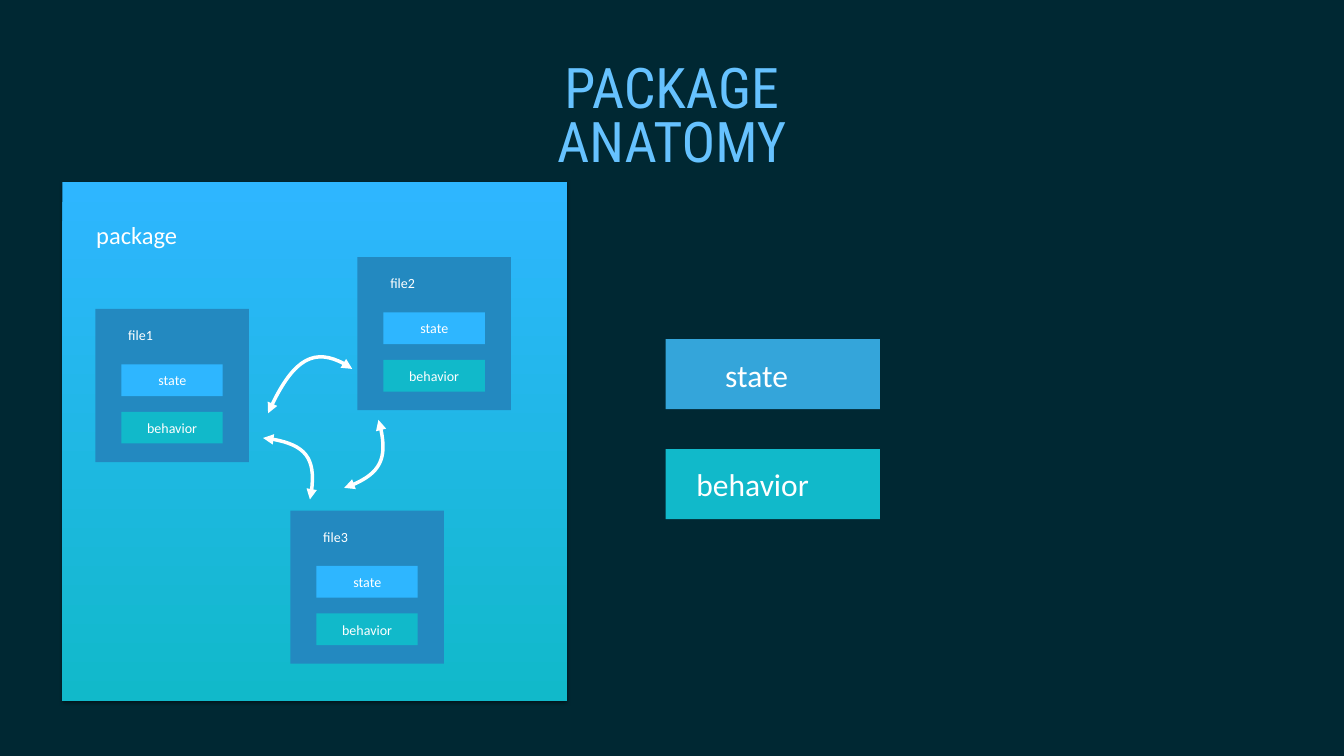
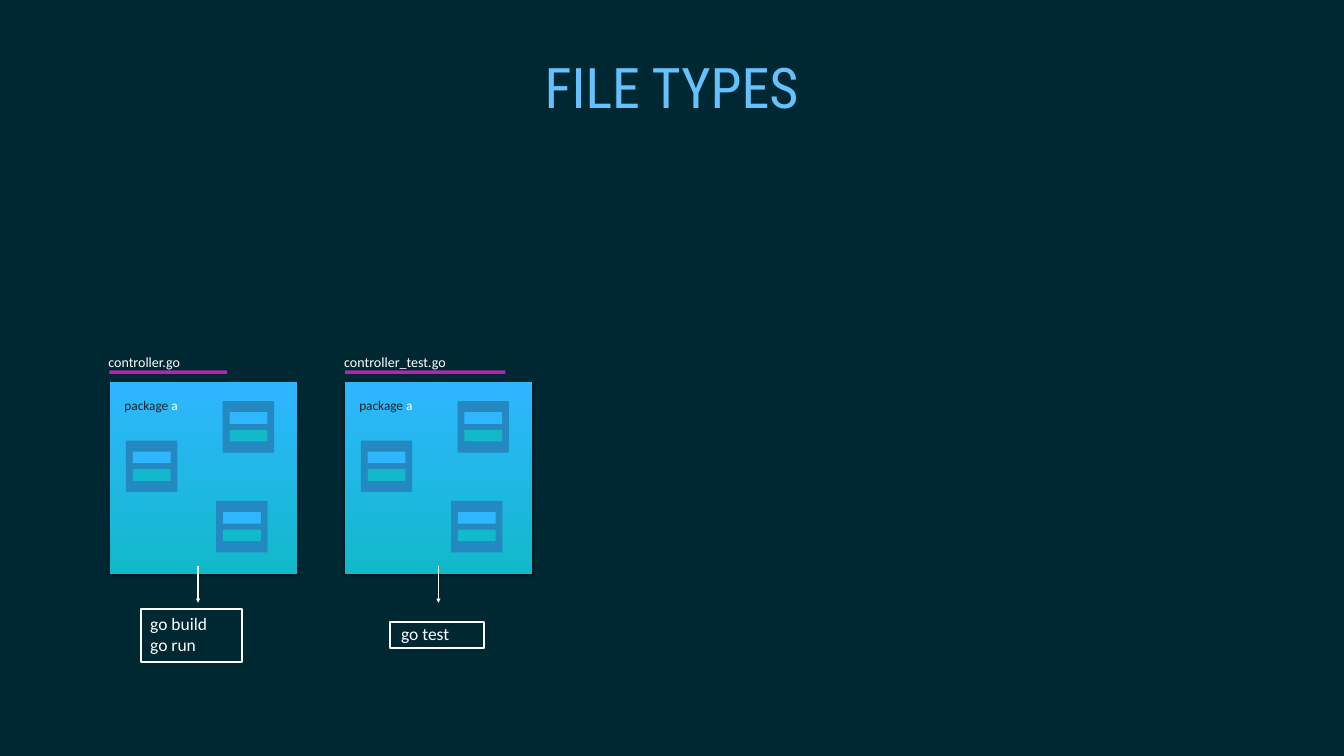
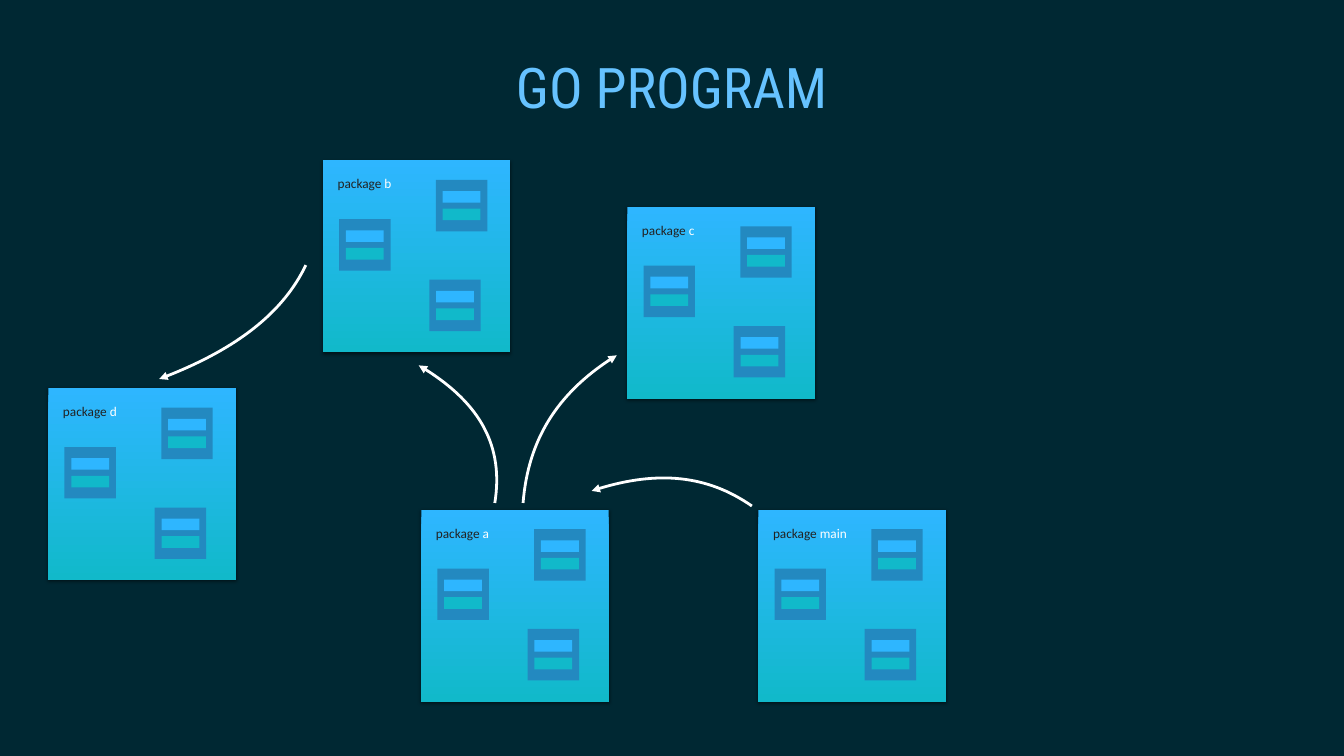
from lxml.etree import SubElement
from pptx import Presentation
from pptx.dml.color import RGBColor
from pptx.enum.shapes import MSO_CONNECTOR, MSO_SHAPE
from pptx.enum.text import MSO_ANCHOR, MSO_AUTO_SIZE, PP_ALIGN
from pptx.oxml.ns import qn
from pptx.util import Inches, Pt

COLOURS = {name: RGBColor.from_string(value) for name, value in {
    "background": "002833", "title": "66C2FF", "sky": "2EB6FF", "teal": "11B9CA",
    "file": "2389C0", "state": "34A5DA", "underline": "AB29AB",
    "white": "FFFFFF", "dark": "222222"}.items()}
BODY_FONT, TITLE_FONT = "Calibri", "Roboto Condensed"
LEFT, CENTER = PP_ALIGN.LEFT, PP_ALIGN.CENTER

deck = Presentation()
deck.slide_width, deck.slide_height = Inches(26.67), Inches(15)
CELL = deck.slide_height / 150  # square grid cell: 150 rows on each slide
background = deck.slide_master.background.fill
background.solid()
background.fore_color.rgb = COLOURS["background"]


def add_box(shapes, left, top, width, height, colour=None):
    """Add a plain rectangle; without a colour it is a white frame."""
    box = shapes.add_shape(MSO_SHAPE.RECTANGLE,
                           *(round(n * CELL) for n in (left, top, width, height)))
    box.shadow.inherit = False
    if colour:
        box.fill.solid()
        box.fill.fore_color.rgb = COLOURS[colour]
        box.line.fill.background()
    else:
        box.fill.background()
        box.line.color.rgb = COLOURS["white"]
        box.line.width = Pt(3)
    return box


def add_text(shapes, left, top, width, height, lines, size, align=LEFT,
             wrap=True, grow=True, font=BODY_FONT, colour="white"):
    """Add a text box, one paragraph for each line."""
    box = shapes.add_textbox(*(round(n * CELL) for n in (left, top, width, height)))
    frame = box.text_frame
    frame.text = lines
    frame.word_wrap = wrap
    frame.auto_size = MSO_AUTO_SIZE.SHAPE_TO_FIT_TEXT if grow else MSO_AUTO_SIZE.NONE
    frame.vertical_anchor = MSO_ANCHOR.MIDDLE
    frame.margin_left = frame.margin_right = Inches(0.08)
    frame.margin_top = frame.margin_bottom = Inches(0.08)
    for para in frame.paragraphs:
        para.alignment = align
        for span in para.runs:
            span.font.size, span.font.name = Pt(size), font
            span.font.color.rgb = COLOURS[colour]
    return box


# Slides and titles
slides = []
for title in ("PACKAGE ANATOMY", "FILE TYPES", "GO PROGRAM"):
    slide = deck.slides.add_slide(deck.slide_layouts[6])
    heading = add_text(slide.shapes, 90.7, 12.2, 85.2, 18.7, title, 80, CENTER,
                       grow=False, font=TITLE_FONT, colour="title").text_frame
    heading.vertical_anchor = MSO_ANCHOR.TOP
    heading.paragraphs[0].line_spacing = 0.8
    slides.append(slide)
anatomy, file_types, program = slides

# Package panels: slide, left, top, width, height, package name
SMALL = (37.2, 38.1)
PANELS = [
    (anatomy, 12.4, 36.2, 100.2, 102.8, None),
    (file_types, 21.8, 75.7, *SMALL, "a"),
    (file_types, 68.4, 75.7, *SMALL, "a"),
    (program, 9.6, 77, *SMALL, "d"),
    (program, 64.1, 31.8, *SMALL, "b"),
    (program, 83.6, 101.1, *SMALL, "a"),
    (program, 150.5, 101.1, *SMALL, "main"),
    (program, 124.5, 41, *SMALL, "c"),
]
for slide, left, top, width, height, name in PANELS:
    group = slide.shapes.add_group_shape().shapes
    panel = add_box(group, left, top, width, height, "sky")
    panel.fill.gradient()
    panel.fill.gradient_angle = 270
    for stop, colour in zip(panel.fill.gradient_stops, ("sky", "teal")):
        stop.color.rgb = COLOURS[colour]
    effects = panel._element.spPr.find(qn("a:effectLst"))
    shadow = SubElement(effects, qn("a:outerShdw"), blurRad=str(Pt(5)),
                        dist=str(Pt(2)), dir="5400000", rotWithShape="0")
    black = SubElement(shadow, qn("a:srgbClr"), val="000000")
    SubElement(black, qn("a:alpha"), val="50000")
    if name is None:
        add_text(group, 18.3, 42.3, 22.2, 8.5, "package", 35, grow=False)
        continue
    # Three small files, each with a state bar and a behavior bar
    for column, row in ((3.2, 11.7), (22.4, 3.9), (21.1, 23.7)):
        add_box(group, left + column, top + row, 10.2, 10.2, "file")
        for drop, colour in ((5.7, "teal"), (2.2, "sky")):
            add_box(group, left + column + 1.35, top + row + drop, 7.5, 2.3, colour)
    label = add_text(group, left + 2.1, top + 2.2, 20.8 if name == "main" else 16.7, 4.8,
                     "package", 19, grow=False, colour="dark")
    span = label.text_frame.paragraphs[0].add_run()
    span.text = f" {name}"
    span.font.size, span.font.name = Pt(19), BODY_FONT
    span.font.color.rgb = COLOURS["white"]

# Package anatomy: three labelled files
for number, (left, top) in enumerate(((18.9, 61.3), (70.9, 51), (57.6, 101.3)), 1):
    group = anatomy.shapes.add_group_shape().shapes
    add_box(group, left, top, 30.5, 30.4, "file")
    add_box(group, left + 5.2, top + 20.4, 20.1, 6.3, "teal")
    add_text(group, left + 7.7, top + 20.9, 15.1, 5.5, "behavior", 20, CENTER, wrap=False)
    add_box(group, left + 5.2, top + 11, 20.1, 6.3, "sky")
    add_text(group, left + 9.8, top + 11.4, 11, 5.5, "state", 20, CENTER)
    add_text(group, left + 3.5, top + 2.4, 11, 5.5, f"file{number}", 20, CENTER)

# Package anatomy: legend
for top, colour, name, text_left, text_width in (
        (67.3, "state", "state", 143.1, 20.5), (89.1, "teal", "behavior", 137.4, 31.8)):
    group = anatomy.shapes.add_group_shape().shapes
    add_box(group, 132.1, top, 42.5, 13.9, colour)
    add_text(group, text_left, top + 2, text_width, 10, name, 45, wrap=False)

# File types: underlined file names
for left, width, name in ((21.7, 23.4, "controller.go"), (68.5, 31.8, "controller_test.go")):
    add_text(file_types.shapes, left - 1, 69, width, 5.5, name, 20, wrap=False)
    add_box(file_types.shapes, left, 73.5, width, 0.7, "underline")

# File types: commands in frames, each below a straight arrow
arrows = []  # line, width in points, arrow ends
for centre, commands, text_at, frame_at in (
        (39.3, "go build\ngo run", (29, 120.2, 20.5, 11), (27.9, 120.8, 20.1, 10.6)),
        (87, "go test", (78.8, 122.5, 16.3, 6.3), (77.4, 123.5, 18.6, 5))):
    line = file_types.shapes.add_connector(
        MSO_CONNECTOR.STRAIGHT,
        *(round(n * CELL) for n in (centre, 112.3, centre, 119.6)))
    arrows.append((line, 2, ["tailEnd"]))
    add_text(file_types.shapes, *text_at, commands, 25, wrap=False)
    add_box(file_types.shapes, *frame_at)

# Curved arrows: start, two control points, end
ONE_WAY, TWO_WAY = ["tailEnd"], ["headEnd", "tailEnd"]
CURVES = [
    (anatomy, 5, TWO_WAY, (61.5, 99.1), (63.2, 91.6), (60.1, 87.6), (52.2, 86.9)),
    (anatomy, 5, TWO_WAY, (53.2, 82), (57.8, 71.4), (63.4, 68.5), (69.9, 73.2)),
    (anatomy, 5, TWO_WAY, (75.1, 83.3), (77.3, 90.2), (75, 94.7), (68.3, 96.8)),
    (program, 4, ONE_WAY, (149.2, 100.4), (140.3, 94.2), (129.7, 93.3), (117.4, 97.4)),
    (program, 4, ONE_WAY, (103.8, 99.8), (104.8, 87.3), (111, 77.5), (122.4, 70.5)),
    (program, 4, ONE_WAY, (98.2, 99.8), (100, 88.6), (95, 79.5), (83.1, 72.5)),
    (program, 4, ONE_WAY, (60.7, 52.6), (56.2, 62), (46.5, 69.6), (31.6, 75.2)),
]
STEPS = 20
for slide, width, ends, *points in CURVES:
    points = [(x * CELL, y * CELL) for x, y in points]
    # Points along the curve give the shape its true bounds
    trace = []
    for step in range(STEPS + 1):
        t = step / STEPS
        weights = ((1 - t) ** 3, 3 * t * (1 - t) ** 2, 3 * t * t * (1 - t), t ** 3)
        trace.append(tuple(round(sum(w * point[axis] for w, point in zip(weights, points)))
                           for axis in (0, 1)))
    builder = slide.shapes.build_freeform(*trace[0])
    builder.add_line_segments(trace[1:], close=False)
    curve = builder.convert_to_shape()
    curve.fill.background()
    # One cubic segment takes the place of the straight ones
    outline = curve._element.spPr.find(".//" + qn("a:path"))
    for segment in outline.findall(qn("a:lnTo")):
        outline.remove(segment)
    bezier = SubElement(outline, qn("a:cubicBezTo"))
    for x, y in points[1:]:
        SubElement(bezier, qn("a:pt"), x=str(round(x - curve.left)),
                   y=str(round(y - curve.top)))
    arrows.append((curve, width, ends))

# Shared arrow style
for arrow, width, ends in arrows:
    arrow.line.color.rgb = COLOURS["white"]
    arrow.line.width = Pt(width)
    properties = arrow._element.spPr
    for end in ends:
        SubElement(properties.find(qn("a:ln")), qn(f"a:{end}"), type="triangle")
    SubElement(properties, qn("a:effectLst"))

deck.save("out.pptx")
